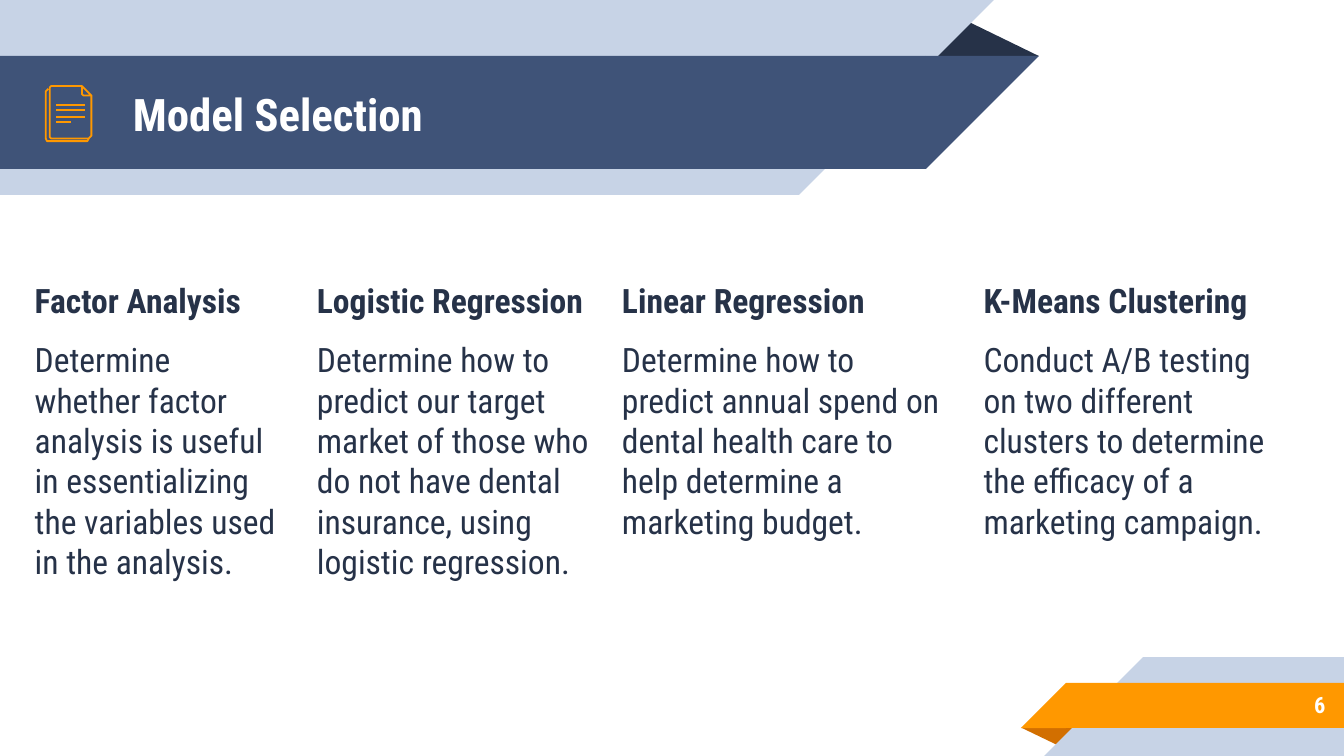
from lxml.etree import SubElement
from pptx import Presentation
from pptx.dml.color import RGBColor
from pptx.enum.shapes import MSO_CONNECTOR, MSO_SHAPE
from pptx.enum.text import MSO_ANCHOR, PP_ALIGN
from pptx.oxml.ns import qn
from pptx.util import Inches, Pt

INK = RGBColor(0x26, 0x32, 0x48)
NAVY = RGBColor(0x3F, 0x53, 0x78)
PALE = RGBColor(0xC7, 0xD3, 0xE6)
AMBER = RGBColor(0xFF, 0x98, 0x00)
RUST = RGBColor(0xD2, 0x6F, 0x00)
WHITE = RGBColor(0xFF, 0xFF, 0xFF)
FONT = "Roboto Condensed"

# Places are in cells: the slide is 100 square cells wide.
MODELS = [  # left, width, name, aim
    (1.6, 20.5, "Factor Analysis",
     "Determine whether factor analysis is useful in essentializing "
     "the variables used in the analysis."),
    (22.6, 22.5, "Logistic Regression",
     "Determine how to predict our target market of those who do not "
     "have dental insurance, using logistic regression."),
    (45.3, 26.7, "Linear Regression",
     "Determine how to predict annual spend on dental health care to "
     "help determine a marketing budget."),
    (72.2, 24.6, "K-Means Clustering",
     "Conduct A/B testing on two different clusters to determine the "
     "efficacy of a marketing campaign."),
]
# Icon points are in tenths of a cell.
ICON = [  # points, closed
    ([(66, 103), (65, 105), (64, 105), (36, 105), (35, 105), (34, 103),
      (34, 68), (35, 67), (36, 66)], False),
    ([(68, 71), (68, 101), (67, 102), (66, 103), (38, 103), (37, 102),
      (37, 101), (37, 66), (37, 65), (38, 64), (61, 64)], False),
    ([(61, 70), (61, 64), (68, 71), (63, 71), (62, 71)], True),
]
RULES = [(78, 63), (82, 63), (87, 63), (91, 53)]  # row, right end
RULE_LEFT = 42

deck = Presentation()
deck.slide_width = Inches(10)
deck.slide_height = deck.slide_width * 9 // 16
CELL = deck.slide_width / 100
slide = deck.slides.add_slide(deck.slide_layouts[6])
shapes = slide.shapes


def cells(*nums):
    return [round(n * CELL) for n in nums]


def block(kind, box, color, flip=None):
    shape = shapes.add_shape(kind, *cells(*box))
    shape.shadow.inherit = False
    shape.fill.solid()
    shape.fill.fore_color.rgb = color
    shape.line.fill.background()
    if flip:
        shape._element.spPr.find(qn("a:xfrm")).set(flip, "1")
    return shape


def ribbon(end, top, tall, color, right=False):
    """Bar from one slide edge to end, closed by a 45 degree tip."""
    left, wide = (end, 100 - end) if right else (0, end)
    block(MSO_SHAPE.RECTANGLE, (left, top, wide, tall), color)
    tip = end - tall if right else end
    block(MSO_SHAPE.RIGHT_TRIANGLE, (tip, top, tall, tall), color,
          "flipH" if right else "flipV")


def fold(box, color, turn=0):
    shape = block(MSO_SHAPE.ISOSCELES_TRIANGLE, box, color)
    shape.adjustments[0] = 0.324
    shape.rotation = turn


def write(box, lines, size, color, anchor=MSO_ANCHOR.TOP, align=PP_ALIGN.LEFT):
    """Lines are (text, bold) pairs, one paragraph each."""
    frame = shapes.add_textbox(*cells(*box)).text_frame
    form = {"word_wrap": True, "vertical_anchor": anchor}
    form.update({"margin_" + side: Inches(0.1)
                 for side in ("left", "top", "right", "bottom")})
    for key, value in form.items():
        setattr(frame, key, value)
    for i, (text, bold) in enumerate(lines):
        para = frame.add_paragraph() if i else frame.paragraphs[0]
        para.alignment = align
        if i:
            para.space_before = Pt(10)
        run = para.add_run()
        run.text = text
        for key, value in {"name": FONT, "size": Pt(size), "bold": bold}.items():
            setattr(run.font, key, value)
        run.font.color.rgb = color


def stroke(shape):
    shape.line.color.rgb = AMBER
    shape.line.width = Pt(0.96)


def draw_icon():
    for points, closed in ICON:
        pen = shapes.build_freeform(*points[0], scale=CELL / 10)
        pen.add_line_segments(points[1:], close=closed)
        sheet = pen.convert_to_shape()
        sheet.shadow.inherit = False
        sheet.fill.background()
        stroke(sheet)
    for row, right in RULES:
        ends = cells(right / 10, row / 10, RULE_LEFT / 10, row / 10)
        rule = shapes.add_connector(MSO_CONNECTOR.STRAIGHT, *ends)
        stroke(rule)
        SubElement(rule._element.spPr, qn("a:effectLst"))


fold((68.8, 1.37, 8.5, 2.8), INK)
ribbon(59.45, 0, 14.5, PALE)
ribbon(68.9, 4.17, 8.4, NAVY)
fold((76, 54.15, 4.3, 1.4), RUST, 180)
ribbon(85.05, 48.9, 7.35, PALE, right=True)
ribbon(79.32, 50.82, 3.35, AMBER, right=True)

write((8.9, 4.25, 57.5, 8.4), [("Model Selection", True)], 24, WHITE,
      MSO_ANCHOR.MIDDLE)
for left, wide, name, aim in MODELS:
    write((left, 19.85, wide, 29.6), [(name, True), (aim, False)], 18, INK)
write((83.3, 50.7, 16.3, 3.5), [("6", True)], 12, WHITE,
      MSO_ANCHOR.MIDDLE, PP_ALIGN.RIGHT)
draw_icon()

deck.save("out.pptx")
